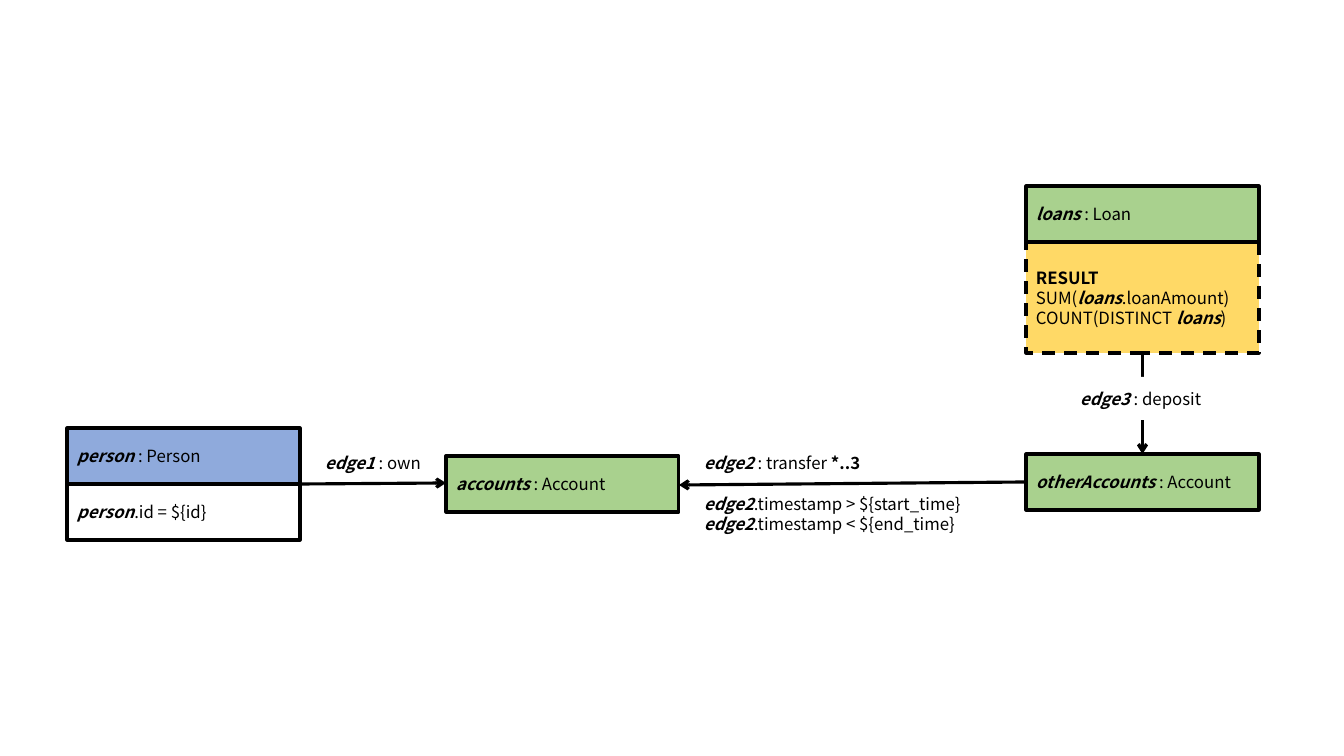
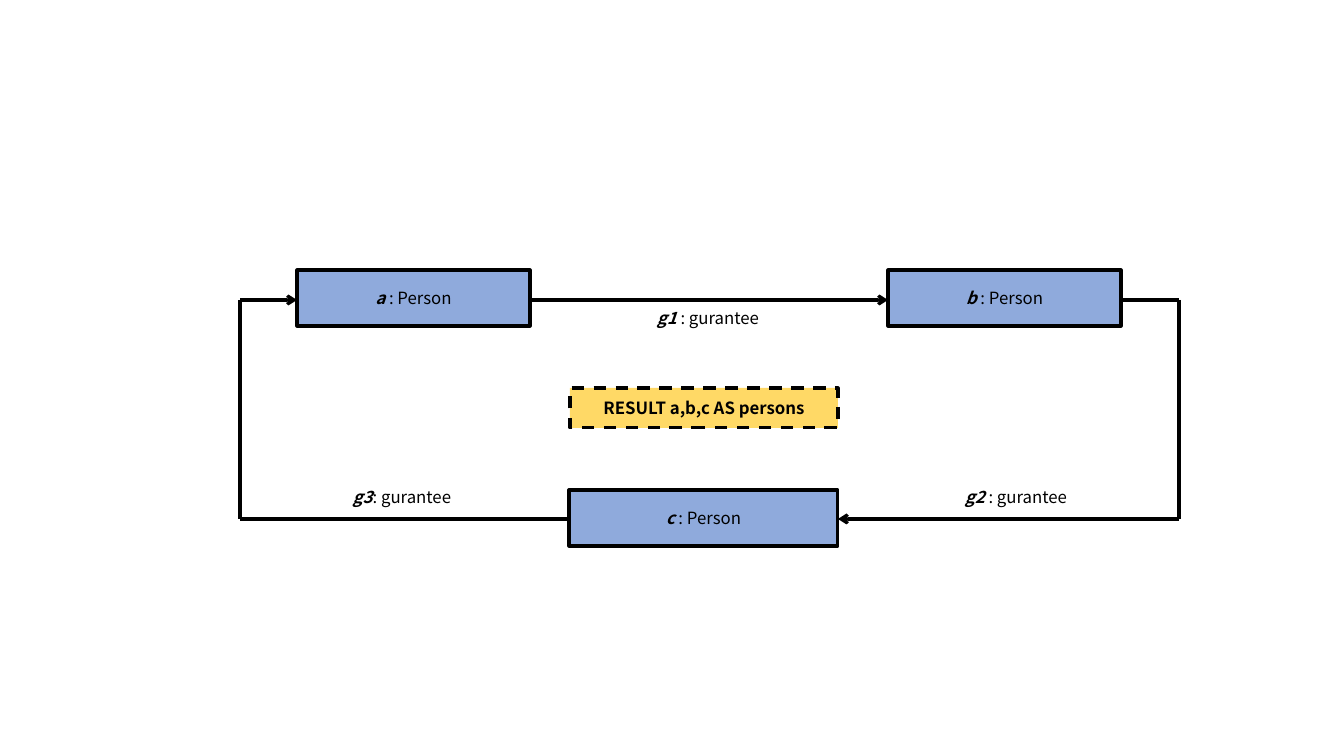
from dataclasses import dataclass
from itertools import pairwise

from lxml import etree
from pptx import Presentation
from pptx.dml.color import RGBColor
from pptx.enum.dml import MSO_LINE
from pptx.enum.shapes import MSO_CONNECTOR, MSO_SHAPE
from pptx.enum.text import MSO_ANCHOR, PP_ALIGN
from pptx.oxml.ns import qn
from pptx.util import Pt

RECT = MSO_SHAPE.RECTANGLE
STRAIGHT = MSO_CONNECTOR.STRAIGHT
DASH = MSO_LINE.DASH
MIDDLE = MSO_ANCHOR.MIDDLE
LEFT, CENTER = PP_ALIGN.LEFT, PP_ALIGN.CENTER

EMU_PER_PX = 914400 / 100.8
SLIDE_W, SLIDE_H = 1344, 756
NODE_W, NODE_H = 233, 56
LABEL_W, LABEL_H = 302, 30


@dataclass(frozen=True)
class Theme:
    ink: str = "000000"
    paper: str = "FFFFFF"
    person: str = "8FAADC"
    account: str = "A9D18E"
    result: str = "FFD966"
    font: str = "Noto Sans CJK SC"
    size: float = 12
    line: float = 2.25
    paragraph_gap: float = 14.5


THEME = Theme()


def px(value):
    return round(value * EMU_PER_PX)


def rgb(value):
    return RGBColor.from_string(value)


def plain(text):
    return text, False, False


def bold(text):
    return text, True, False


def name(text):
    return text, True, True


def write(tf, lines, align):
    tf.word_wrap = True
    for i, line in enumerate(lines):
        p = tf.add_paragraph() if i else tf.paragraphs[0]
        p.alignment = align
        for text, is_bold, is_italic in line:
            r = p.add_run()
            r.text = text
            r.font.name = THEME.font
            r.font.size = Pt(THEME.size)
            r.font.bold = is_bold
            r.font.italic = is_italic
            r.font.color.rgb = rgb(THEME.ink)


def add_box(s, x, y, lines, fill, w=NODE_W, h=NODE_H, align=LEFT,
            dashed=False, outlined=True):
    sp = s.shapes.add_shape(RECT, px(x), px(y), px(w), px(h))
    sp.shadow.inherit = False
    if fill:
        sp.fill.solid()
        sp.fill.fore_color.rgb = rgb(fill)
    else:
        sp.fill.background()
    if outlined:
        sp.line.color.rgb = rgb(THEME.ink)
        sp.line.width = Pt(THEME.line)
    else:
        sp.line.fill.background()
    if dashed:
        sp.line.dash_style = DASH
    sp.text_frame.vertical_anchor = MIDDLE
    write(sp.text_frame, lines, align)


def add_label(s, x, y, lines, w=LABEL_W, h=LABEL_H, align=LEFT):
    tf = s.shapes.add_textbox(px(x), px(y), px(w), px(h)).text_frame
    write(tf, lines, align)
    return tf


def add_route(s, *points, arrow=True):
    for start, end in pairwise(points):
        line = s.shapes.add_connector(STRAIGHT, *map(px, start + end))
        line.line.color.rgb = rgb(THEME.ink)
        line.line.width = Pt(THEME.line)
        if arrow and end == points[-1]:
            ln = line.line._get_or_add_ln()
            etree.SubElement(ln, qn("a:tailEnd"), type="arrow")
        etree.SubElement(line._element.spPr, qn("a:effectLst"))


def build_transfers(s):
    person_x, accounts_x, loans_x = 67, 446, 1026
    person_y, accounts_y, loans_y, others_y = 428, 456, 186, 454
    result_y, result_h = loans_y + NODE_H, 111
    loans_mid = loans_x + NODE_W / 2

    add_box(s, loans_x, result_y, [
        [bold("RESULT")],
        [plain("SUM("), name("loans"), plain(".loanAmount)")],
        [plain("COUNT(DISTINCT "), name("loans"), plain(")")],
    ], THEME.result, h=result_h, dashed=True)
    add_box(s, person_x, person_y, [[name("person "), plain(": Person")]], THEME.person)
    add_box(s, person_x, person_y + NODE_H, [[name("person"), plain(".id = ${id}")]], None)
    add_box(s, accounts_x, accounts_y, [[name("accounts "), plain(": Account")]], THEME.account)
    add_box(s, loans_x, others_y, [[name("otherAccounts "), plain(": Account")]], THEME.account)
    add_box(s, loans_x, loans_y, [[name("loans "), plain(": Loan")]], THEME.account)

    add_route(s, (person_x + NODE_W, 484), (accounts_x, 483))
    add_route(s, (loans_x, 482), (accounts_x + NODE_W, 485))
    add_route(s, (loans_mid, result_y + result_h), (loans_mid, others_y))

    add_label(s, 315, 448, [[name("edge1 "), plain(": own")]], w=130)
    tf = add_label(s, 694, 448, [
        [name("edge2 "), plain(": transfer"), bold(" *..3")],
        [name("edge2"), plain(".timestamp > ${start_time}")],
        [name("edge2"), plain(".timestamp < ${end_time}")],
    ], w=313, h=92)
    tf.paragraphs[1].space_before = Pt(THEME.paragraph_gap)
    add_box(s, 1070, 377, [[name("edge3 "), plain(": deposit")]], THEME.paper,
            w=158, h=43, outlined=False)


def build_guarantees(s):
    a_x, b_x, c_x, c_w = 297, 888, 569, 269
    top_y, c_y = 270, 490
    left_x, right_x, upper_y, lower_y = 240, 1179, 300, 519

    for x, y, w, person in (
        (a_x, top_y, NODE_W, "a "),
        (b_x, top_y, NODE_W, "b "),
        (c_x, c_y, c_w, "c "),
    ):
        add_box(s, x, y, [[name(person), plain(": Person")]], THEME.person,
                w=w, align=CENTER)
    add_box(s, c_x + 1, 388, [[bold("RESULT a,b,c AS persons")]], THEME.result,
            w=c_w - 1, h=40, align=CENTER, dashed=True)

    add_route(s, (a_x + NODE_W, upper_y), (b_x, upper_y))
    add_route(s, (b_x + NODE_W, upper_y), (right_x, upper_y),
              (right_x, lower_y), (c_x + c_w, lower_y))
    add_route(s, (c_x, lower_y), (left_x, lower_y),
              (left_x, upper_y), (a_x, upper_y))

    for x, y, edge in ((557, 303, "g1 "), (865, 482, "g2 "), (251, 482, "g3")):
        add_label(s, x, y, [[name(edge), plain(": gurantee")]], align=CENTER)


def main():
    prs = Presentation()
    prs.slide_width, prs.slide_height = px(SLIDE_W), px(SLIDE_H)
    blank = prs.slide_layouts[6]
    for build in (build_transfers, build_guarantees):
        build(prs.slides.add_slide(blank))
    prs.save("out.pptx")


main()
